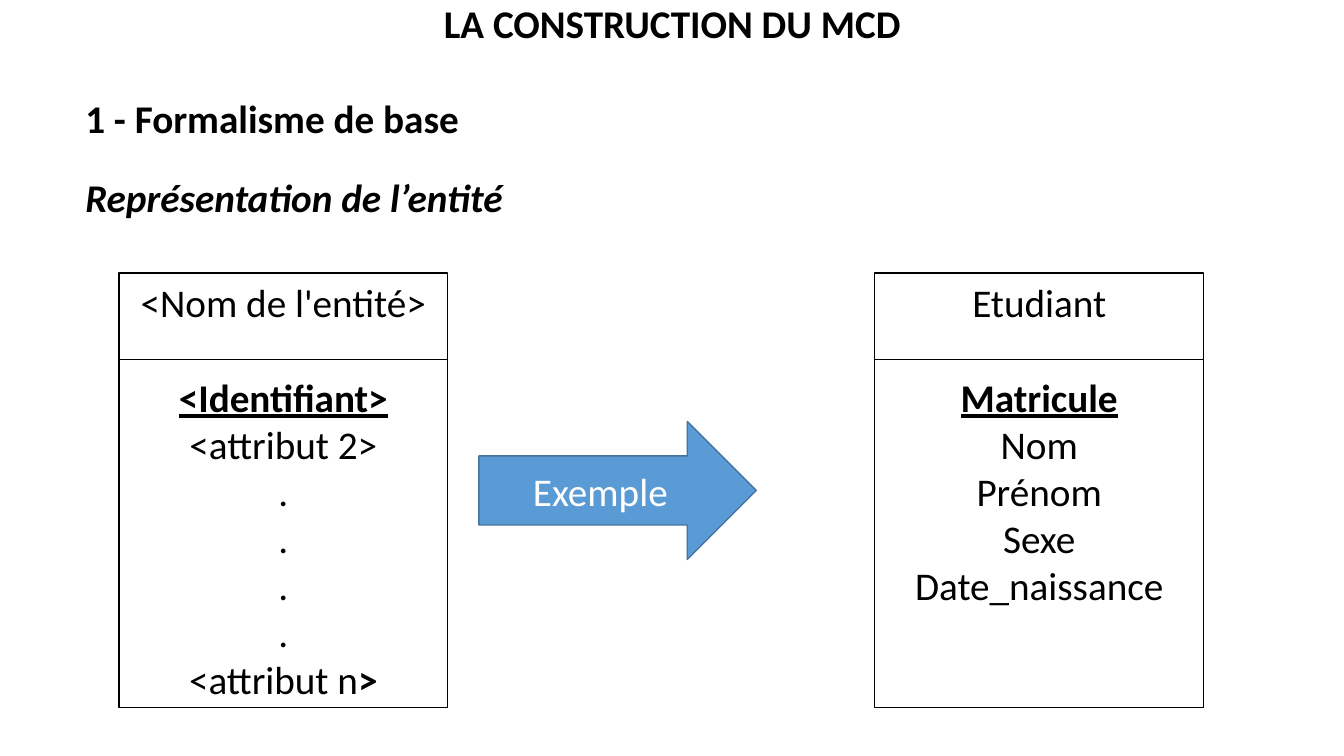
"""Build the slide that introduces the entity notation of the MCD."""
from dataclasses import dataclass

from lxml.etree import SubElement
from pptx import Presentation
from pptx.dml.color import RGBColor as Rgb
from pptx.enum.shapes import MSO_CONNECTOR as Connector, MSO_SHAPE as Preset
from pptx.enum.text import MSO_ANCHOR as Anchor, MSO_AUTO_SIZE as AutoSize, PP_ALIGN as Align
from pptx.oxml.ns import qn
from pptx.util import Cm, Pt


@dataclass(frozen=True)
class Theme:
    font: str = "Calibri"
    size: Pt = Pt(28)
    line_gap: Pt = Pt(34.2)
    thin: Pt = Pt(0.75)
    medium: Pt = Pt(1)
    ink: Rgb = Rgb.from_string("000000")
    paper: Rgb = Rgb.from_string("FFFFFF")
    accent: Rgb = Rgb.from_string("5B9BD5")
    accent_edge: Rgb = Rgb.from_string("43739E")


THEME = Theme()
PLAIN = {}
BOLD = {"bold": True}
BOLD_ITALIC = {"bold": True, "italic": True}
IDENTIFIER = {"bold": True, "underline": True}


def place(left, top, width, height):
    return [Cm(length) for length in (left, top, width, height)]


def write(paragraph, runs, color=THEME.ink, align=Align.CENTER):
    paragraph.alignment = align
    for words, emphasis in runs:
        run = paragraph.add_run()
        run.text = words
        run.font.color.rgb = color
        formats = {"name": THEME.font, "size": THEME.size, **emphasis}
        for attribute, value in formats.items():
            setattr(run.font, attribute, value)


def add_panel(shapes, preset, box, fill, edge, edge_width):
    panel = shapes.add_shape(preset, *place(*box))
    panel.shadow.inherit = False
    panel.fill.solid()
    panel.fill.fore_color.rgb = fill
    panel.line.color.rgb = edge
    panel.line.width = edge_width
    panel.text_frame.word_wrap = True
    return panel


def add_divider(shapes, left, top, width):
    divider = shapes.add_connector(
        Connector.STRAIGHT, Cm(left), Cm(top), Cm(left + width), Cm(top))
    divider.line.color.rgb = THEME.ink
    divider.line.width = THEME.thin
    SubElement(divider.element.spPr, qn("a:effectLst"))


def add_entity(slide, left, name, identifier, attributes):
    top, width, height, header = 6.88, 8.28, 10.95, 2.18
    entity = slide.shapes.add_group_shape().shapes
    frame = add_panel(entity, Preset.RECTANGLE, (left, top, width, height),
                      THEME.paper, THEME.ink, THEME.thin).text_frame
    frame.vertical_anchor = Anchor.TOP
    write(frame.paragraphs[0], [(name, PLAIN)])
    key = frame.add_paragraph()
    key.space_before = THEME.line_gap
    write(key, [(identifier, IDENTIFIER)])
    for runs in attributes:
        write(frame.add_paragraph(), runs)
    add_divider(entity, left, top + header, width)


def add_arrow(slide, box, label):
    arrow = add_panel(slide.shapes, Preset.RIGHT_ARROW, box,
                      THEME.accent, THEME.accent_edge, THEME.medium)
    arrow.text_frame.vertical_anchor = Anchor.MIDDLE
    write(arrow.text_frame.paragraphs[0], [(label, PLAIN)], THEME.paper)


def add_heading(slide, box, words, emphasis, align=Align.LEFT, spacing=1.0):
    frame = slide.shapes.add_textbox(*place(*box)).text_frame
    frame.word_wrap = True
    frame.auto_size = AutoSize.NONE
    frame.paragraphs[0].line_spacing = spacing
    write(frame.paragraphs[0], [(words, emphasis)], align=align)


def main():
    deck = Presentation()
    deck.slide_width, deck.slide_height = Cm(33.87), Cm(19.05)
    slide = deck.slides.add_slide(deck.slide_layouts[6])

    add_heading(slide, (6.83, 0, 20.22, 1.7), "LA CONSTRUCTION DU MCD",
                BOLD, Align.CENTER, 0.9)
    add_heading(slide, (1.9, 2.24, 12.4, 1.45), "1 - Formalisme de base", BOLD)
    add_heading(slide, (1.9, 4.24, 13.03, 1.45), "Représentation de l’entité", BOLD_ITALIC)

    generic = [[(words, PLAIN)] for words in ("<attribut 2>", *"....")]
    generic.append([("<attribut n", PLAIN), (">", BOLD)])
    add_entity(slide, 3, "<Nom de l'entité>", "<Identifiant>", generic)

    add_arrow(slide, (12.07, 10.62, 6.99, 3.48), "Exemple")

    student = [[(words, PLAIN)] for words in ("Nom", "Prénom", "Sexe", "Date_naissance")]
    add_entity(slide, 22.05, "Etudiant", "Matricule", student)

    deck.save("out.pptx")


if __name__ == "__main__":
    main()
